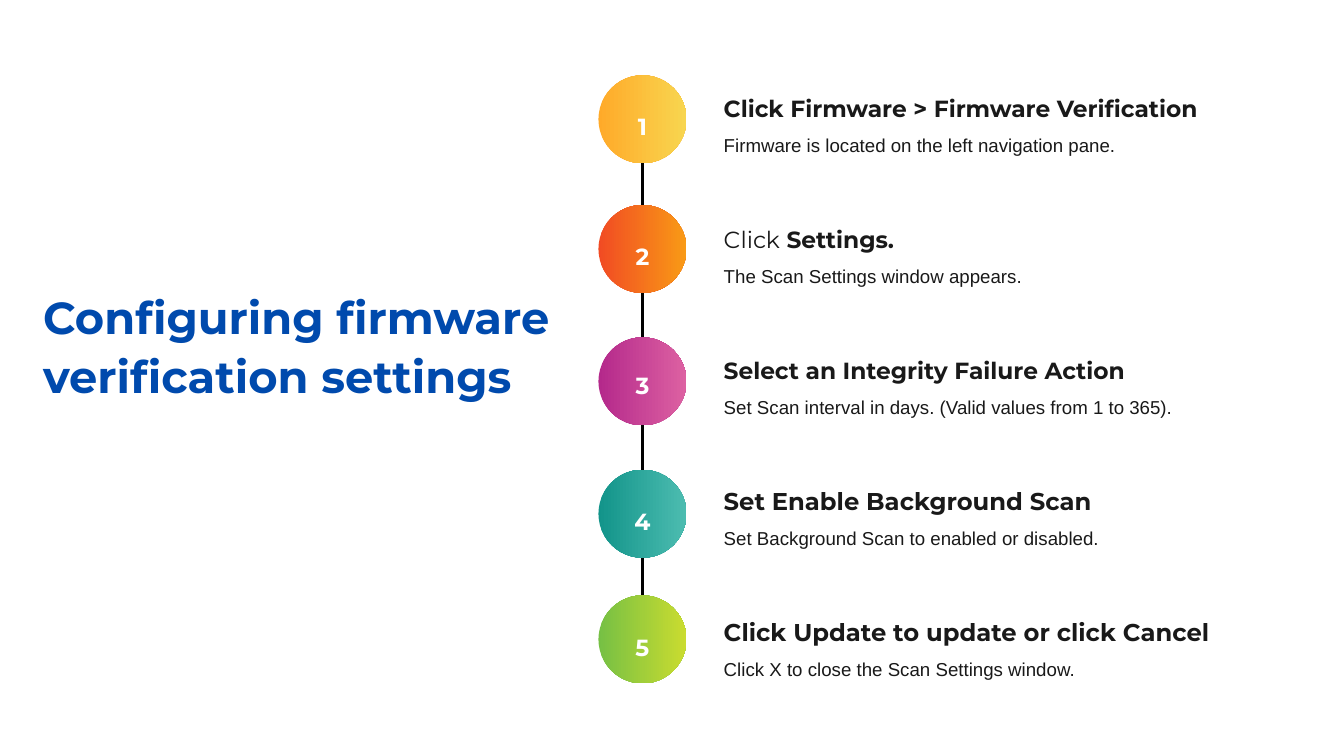
from pptx import Presentation
from pptx.dml.color import RGBColor
from pptx.enum.shapes import MSO_CONNECTOR, MSO_SHAPE
from pptx.enum.text import MSO_AUTO_SIZE, PP_ALIGN
from pptx.oxml.ns import qn
from pptx.util import Inches, Pt
from lxml import etree

COLORS = {"title": "004AAD", "text": "191919", "number": "FFFFFF", "line": "000000"}
HEAD_FONT, BODY_FONT = "Montserrat", "Arial"

CENTER_X, DIAMETER = 9.56, 1.31
TEXT_X, TEXT_W = 10.77, 8.11
BODY_TOP, BODY_H, STEP_PITCH = 1.74, 0.59, 1.95
HEAD_OVERLAP = 0.08

# circle top, number offset, gradient, heading size, heading runs (text, bold), body
STEPS = [
    (1.12, 0.39, ("FFAA29", "F8D54F"), 25,
     [("Click Firmware > Firmware Verification", True)],
     "Firmware is located on the left navigation pane."),
    (3.05, 0.39, ("F14B23", "F99A16"), 25,
     [("Click", False), (" Settings.", True)],
     "The Scan Settings window appears."),
    (5.02, 0.34, ("B4298B", "DD61A2"), 25,
     [("Select an Integrity Failure Action", True)],
     "Set Scan interval in days. (Valid values from 1 to 365)."),
    (6.99, 0.39, ("12948A", "4CBCB0"), 26,
     [("Set Enable Background Scan", True)],
     "Set Background Scan to enabled or disabled."),
    (8.86, 0.39, ("76C044", "CADC30"), 26,
     [("Click Update to update or click Cancel", True)],
     "Click X to close the Scan Settings window."),
]


def rgb(value):
    return RGBColor.from_string(value)


def add_text(s, box, runs, size, font, color, spacing, align=PP_ALIGN.LEFT):
    """Add a text box without margins; runs are (text, bold) pairs."""
    tf = s.shapes.add_textbox(*map(Inches, box)).text_frame
    tf.word_wrap = True
    tf.auto_size = MSO_AUTO_SIZE.SHAPE_TO_FIT_TEXT
    tf.margin_left = tf.margin_right = tf.margin_top = tf.margin_bottom = 0
    p = tf.paragraphs[0]
    p.alignment = align
    p.line_spacing = spacing
    for text, bold in runs:
        r = p.add_run()
        r.text = text
        r.font.name = font
        r.font.size = Pt(size)
        r.font.bold = bold
        r.font.color.rgb = rgb(color)


def add_circle(s, top, gradient):
    sp = s.shapes.add_shape(MSO_SHAPE.OVAL, Inches(CENTER_X - DIAMETER / 2), Inches(top),
                            Inches(DIAMETER), Inches(DIAMETER))
    sp.shadow.inherit = False
    sp.line.fill.background()
    sp.fill.gradient()
    sp.fill.gradient_angle = 0
    for stop, color in zip(sp.fill.gradient_stops, gradient):
        stop.color.rgb = rgb(color)


def add_timeline(s, top, bottom):
    line = s.shapes.add_connector(MSO_CONNECTOR.STRAIGHT, Inches(CENTER_X), Inches(bottom),
                                  Inches(CENTER_X), Inches(top))
    line.line.color.rgb = rgb(COLORS["line"])
    line.line.width = Pt(3.75)
    etree.SubElement(line._element.spPr, qn("a:effectLst"))


def add_step(s, index, step):
    top, number_offset, gradient, size, heading, body = step
    add_circle(s, top, gradient)
    add_text(s, (CENTER_X - 0.12, top + number_offset, 0.24, 0.47), [(str(index + 1), True)],
             25, HEAD_FONT, COLORS["number"], 1.4, PP_ALIGN.CENTER)

    body_top = BODY_TOP + index * STEP_PITCH
    head_h = 0.68 if size == 25 else 0.71
    add_text(s, (TEXT_X, body_top, TEXT_W, BODY_H), [(body, False)],
             20, BODY_FONT, COLORS["text"], 1.75)
    add_text(s, (TEXT_X, body_top + HEAD_OVERLAP - head_h, TEXT_W, head_h), heading,
             size, HEAD_FONT, COLORS["text"], 1.62)


def main():
    prs = Presentation()
    prs.slide_width, prs.slide_height = Inches(20), Inches(11.25)
    s = prs.slides.add_slide(prs.slide_layouts[6])

    add_timeline(s, STEPS[0][0] + DIAMETER, STEPS[-1][0])
    for index, step in enumerate(STEPS):
        add_step(s, index, step)
    add_text(s, (0.64, 4.23, 7.62, 1.78), [("Configuring firmware verification settings", True)],
             48, HEAD_FONT, COLORS["title"], 1.1)

    prs.save("out.pptx")


if __name__ == "__main__":
    main()
